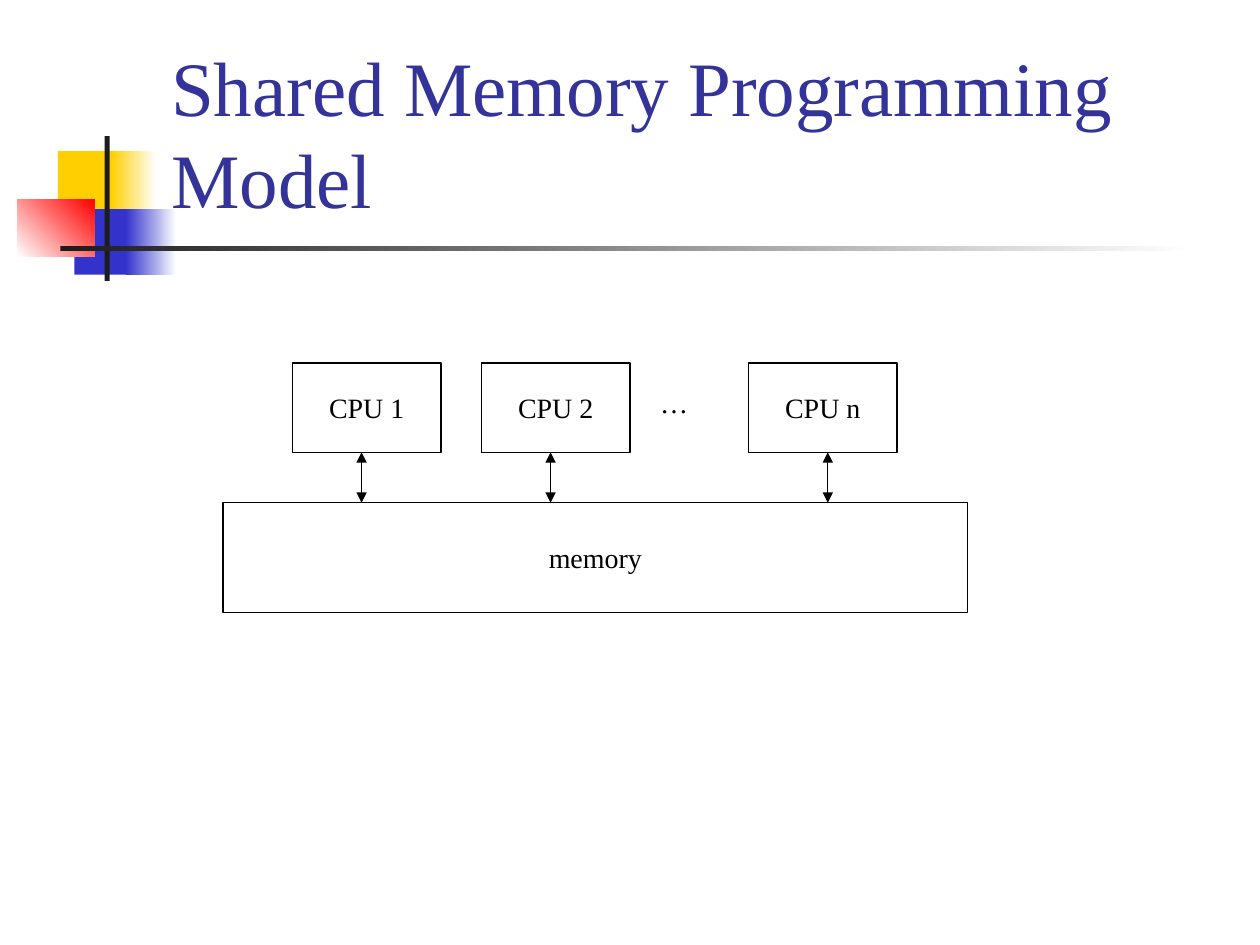
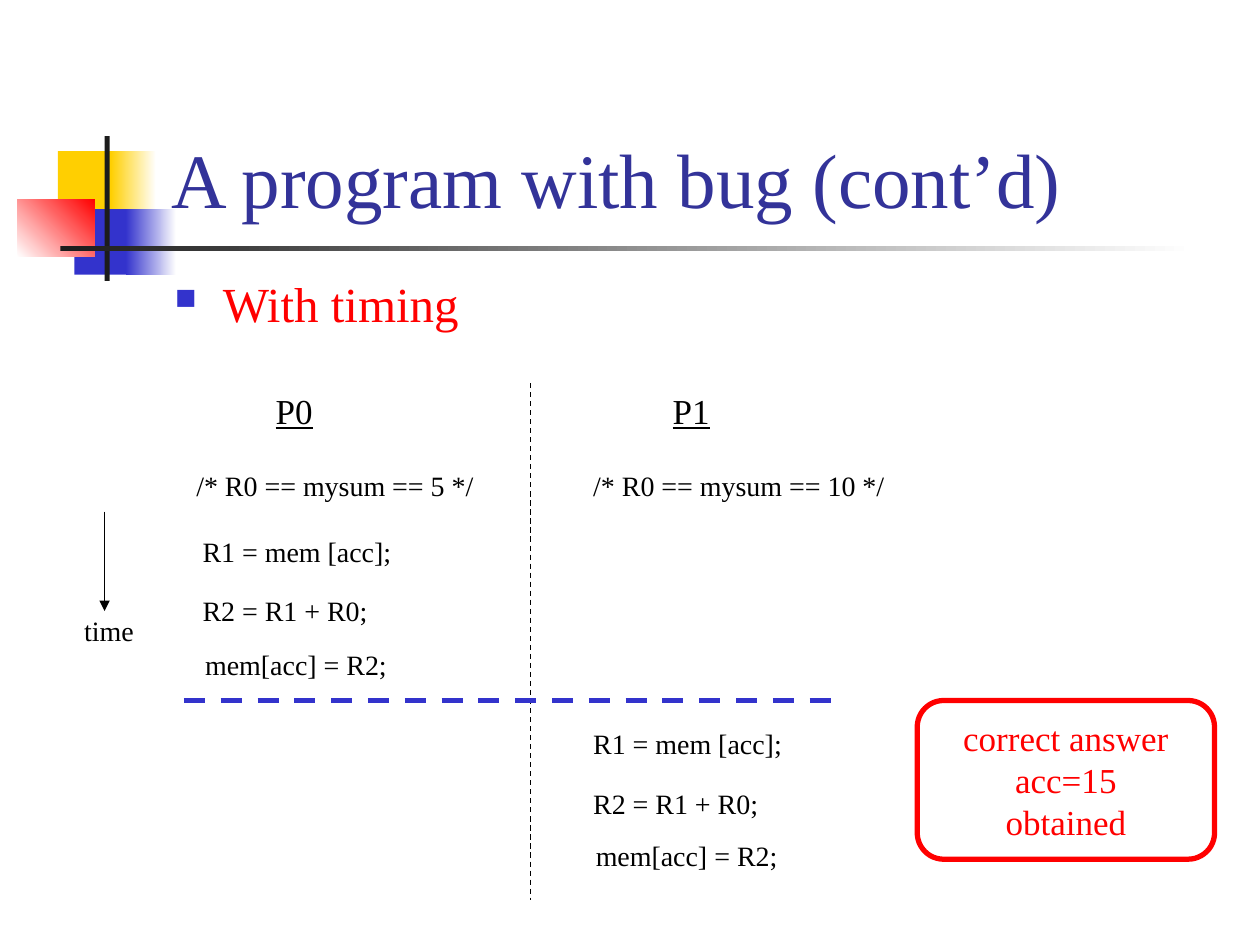
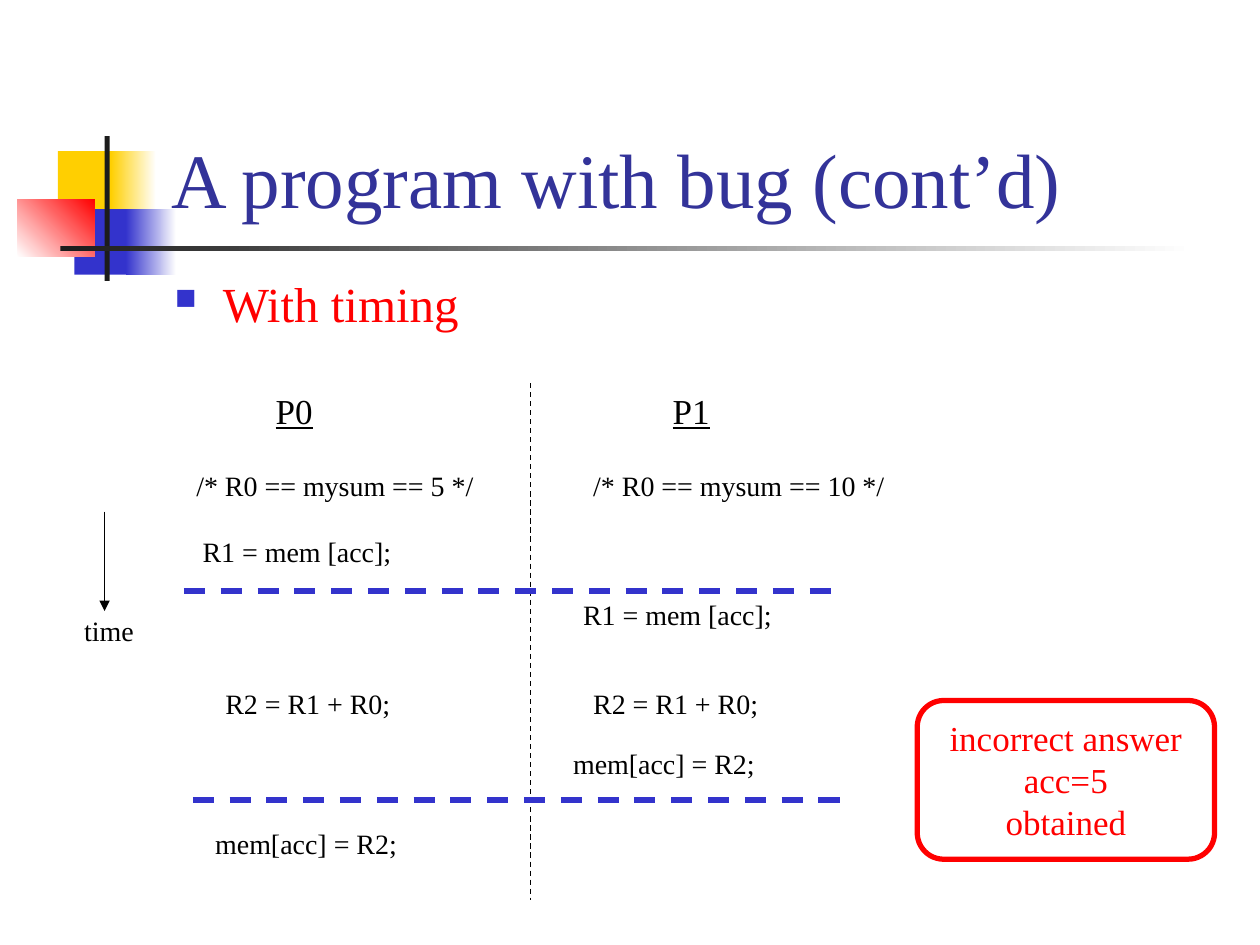
import pptx
import pptx.util
import pptx.dml.color
import pptx.enum.dml
import pptx.enum.shapes
import pptx.enum.text
import pptx.oxml.ns
import lxml.etree

Inches = pptx.util.Inches
Pt = pptx.util.Pt
RGBColor = pptx.dml.color.RGBColor
qn = pptx.oxml.ns.qn
SHAPE = pptx.enum.shapes.MSO_SHAPE
ANCHOR = pptx.enum.text.MSO_ANCHOR
ALIGN = pptx.enum.text.PP_ALIGN
GROW = pptx.enum.text.MSO_AUTO_SIZE.SHAPE_TO_FIT_TEXT

FONT = "Times New Roman"
BLACK = RGBColor(0x00, 0x00, 0x00)
WHITE = RGBColor(0xFF, 0xFF, 0xFF)
NAVY = RGBColor(0x33, 0x33, 0x99)
BLUE = RGBColor(0x33, 0x33, 0xCC)
YELLOW = RGBColor(0xFF, 0xCF, 0x01)
RED = RGBColor(0xFF, 0x00, 0x00)
CHARCOAL = RGBColor(0x1C, 0x1C, 0x1C)

# Left, top, width, height, first colour, last colour, gradient angle
ORNAMENT = [
    (0.46, 1.2, 0.48, 0.52, YELLOW, YELLOW, 0),
    (0.88, 1.2, 0.36, 0.52, YELLOW, WHITE, 0),
    (0.59, 1.66, 0.46, 0.52, BLUE, BLUE, 0),
    (1.0, 1.66, 0.4, 0.52, BLUE, WHITE, 0),
    (0.14, 1.58, 0.61, 0.46, WHITE, RED, 45),
    (0.83, 1.08, 0.04, 1.15, CHARCOAL, CHARCOAL, 0),
    (0.48, 1.95, 9, 0.04, CHARCOAL, WHITE, 0),
]


def write(shape, text, size, color=BLACK, align=ALIGN.LEFT, wrap=False):
    """Put text into a shape and format all its runs."""
    frame = shape.text_frame
    frame.text = text
    frame.word_wrap = wrap
    for paragraph in frame.paragraphs:
        paragraph.alignment = align
        for run in paragraph.runs:
            run.font.name = FONT
            run.font.size = Pt(size)
            run.font.color.rgb = color
    return frame


def add_line(slide, start, end, color=BLACK, width=0.75, dashed=False, arrows=()):
    """Draw a straight line, with triangles at the ends named in arrows."""
    line = slide.shapes.add_connector(
        pptx.enum.shapes.MSO_CONNECTOR.STRAIGHT,
        *[Inches(value) for value in (*start, *end)])
    line.line.color.rgb = color
    line.line.width = Pt(width)
    if dashed:
        line.line.dash_style = pptx.enum.dml.MSO_LINE.DASH
    for arrow in arrows:
        lxml.etree.SubElement(line.line._get_or_add_ln(), qn("a:" + arrow), type="triangle")
    lxml.etree.SubElement(line._element.spPr, qn("a:effectLst"))


presentation = pptx.Presentation()
presentation.slide_width = Inches(10)
presentation.slide_height = Inches(7.5)

# Shared ornament and title
slides = []
for title in ["Shared Memory Programming Model"] + ["A program with bug (cont’d)"] * 2:
    slide = presentation.slides.add_slide(presentation.slide_layouts[6])
    slides.append(slide)
    for left, top, width, height, first, last, angle in ORNAMENT:
        block = slide.shapes.add_shape(
            SHAPE.RECTANGLE, Inches(left), Inches(top), Inches(width), Inches(height))
        block.shadow.inherit = False
        block.line.fill.background()
        if first == last:
            block.fill.solid()
            block.fill.fore_color.rgb = first
        else:
            block.fill.gradient()
            block.fill.gradient_angle = angle
            for stop, color in zip(block.fill.gradient_stops, (first, last)):
                stop.color.rgb = color
    heading = slide.shapes.add_textbox(Inches(1.26), Inches(0.23), Inches(8.52), Inches(1.6))
    write(heading, title, 44, NAVY, wrap=True).vertical_anchor = ANCHOR.BOTTOM

# Slide 1: processors joined to one memory
model = slides[0]
UNITS = [("CPU 1", 2.32, 2.88, 1.18, 0.71), ("CPU 2", 3.82, 2.88, 1.18, 0.71),
         ("CPU n", 5.94, 2.88, 1.18, 0.71), ("memory", 1.77, 3.99, 5.91, 0.87)]
for name, left, top, width, height in UNITS:
    unit = model.shapes.add_shape(
        SHAPE.RECTANGLE, Inches(left), Inches(top), Inches(width), Inches(height))
    unit.shadow.inherit = False
    unit.fill.background()
    unit.line.color.rgb = BLACK
    unit.line.width = Pt(0.75)
    write(unit, name, 16, align=ALIGN.CENTER).vertical_anchor = ANCHOR.MIDDLE
ellipsis = model.shapes.add_textbox(Inches(5.14), Inches(3.01), Inches(0.42), Inches(0.37))
write(ellipsis, "…", 16).auto_size = GROW
for x in (2.87, 4.37, 6.57):
    add_line(model, (x, 3.59), (x, 3.99), arrows=("headEnd", "tailEnd"))

# Slides 2 and 3: the same program under two timings
LOAD, ADD, STORE = "R1 = mem [acc];", "R2 = R1 + R0;", "mem[acc] = R2;"
WIDTHS = {LOAD: 1.71, ADD: 1.51, STORE: 1.65}
COMMON_LABELS = [
    ("/* R0 == mysum == 5 */", 1.46, 3.67, 2.41),
    ("/* R0 == mysum == 10 */", 4.61, 3.67, 2.52),
    ("time", 0.57, 4.82, 0.6),
]
# Instructions with left and top, context switches with left and height, result
TIMINGS = [
    ([(LOAD, 1.51, 4.19), (ADD, 1.51, 4.66), (STORE, 1.53, 5.09),
      (LOAD, 4.61, 5.72), (ADD, 4.61, 6.19), (STORE, 4.63, 6.61)],
     [(1.46, 5.56)],
     "correct answer\nacc=15\nobtained"),
    ([(LOAD, 1.51, 4.19), (ADD, 1.69, 5.4), (STORE, 1.61, 6.51),
      (LOAD, 4.53, 4.69), (ADD, 4.61, 5.4), (STORE, 4.45, 5.88)],
     [(1.46, 4.69), (1.53, 6.35)],
     "incorrect answer\nacc=5\nobtained"),
]
for slide, (instructions, switches, result) in zip(slides[1:], TIMINGS):
    topic = slide.shapes.add_textbox(Inches(1.29), Inches(2.21), Inches(8.5), Inches(0.52))
    topic_line = write(topic, "With timing", 28, RED, wrap=True).paragraphs[0]
    topic_line.line_spacing = 0.8
    topic_line.space_before = Pt(5.6)
    bullet = topic_line._p.get_or_add_pPr()
    bullet.set("marL", str(Inches(0.38)))
    bullet.set("indent", str(Inches(-0.38)))
    bullet_color = lxml.etree.SubElement(bullet, qn("a:buClr"))
    lxml.etree.SubElement(bullet_color, qn("a:srgbClr"), val=str(BLUE))
    lxml.etree.SubElement(bullet, qn("a:buSzPct"), val="60000")
    lxml.etree.SubElement(bullet, qn("a:buChar"), char="■")

    # Half an inch holds a process name on one line
    for process, left in (("P0", 2.09), ("P1", 5.24)):
        column = slide.shapes.add_textbox(Inches(left), Inches(3.04), Inches(0.5), Inches(0.43))
        process_name = write(column, process, 20)
        process_name.auto_size = GROW
        process_name.paragraphs[0].runs[0].font.underline = True

    labels = COMMON_LABELS + [(code, left, top, WIDTHS[code]) for code, left, top in instructions]
    for text, left, top, width in labels:
        label = slide.shapes.add_textbox(Inches(left), Inches(top), Inches(width), Inches(0.37))
        write(label, text, 16).auto_size = GROW

    add_line(slide, (4.21, 3.04), (4.21, 7.14), dashed=True)
    add_line(slide, (0.83, 4.06), (0.83, 4.85), arrows=("tailEnd",))
    for left, y in switches:
        add_line(slide, (left, y), (left + 5.2, y), BLUE, 3, dashed=True)

    outcome = slide.shapes.add_shape(
        SHAPE.ROUNDED_RECTANGLE, Inches(7.28), Inches(5.56), Inches(2.36), Inches(1.26))
    outcome.shadow.inherit = False
    outcome.fill.background()
    outcome.line.color.rgb = RED
    outcome.line.width = Pt(3)
    write(outcome, result, 20, RED, ALIGN.CENTER).vertical_anchor = ANCHOR.MIDDLE

presentation.save("out.pptx")
